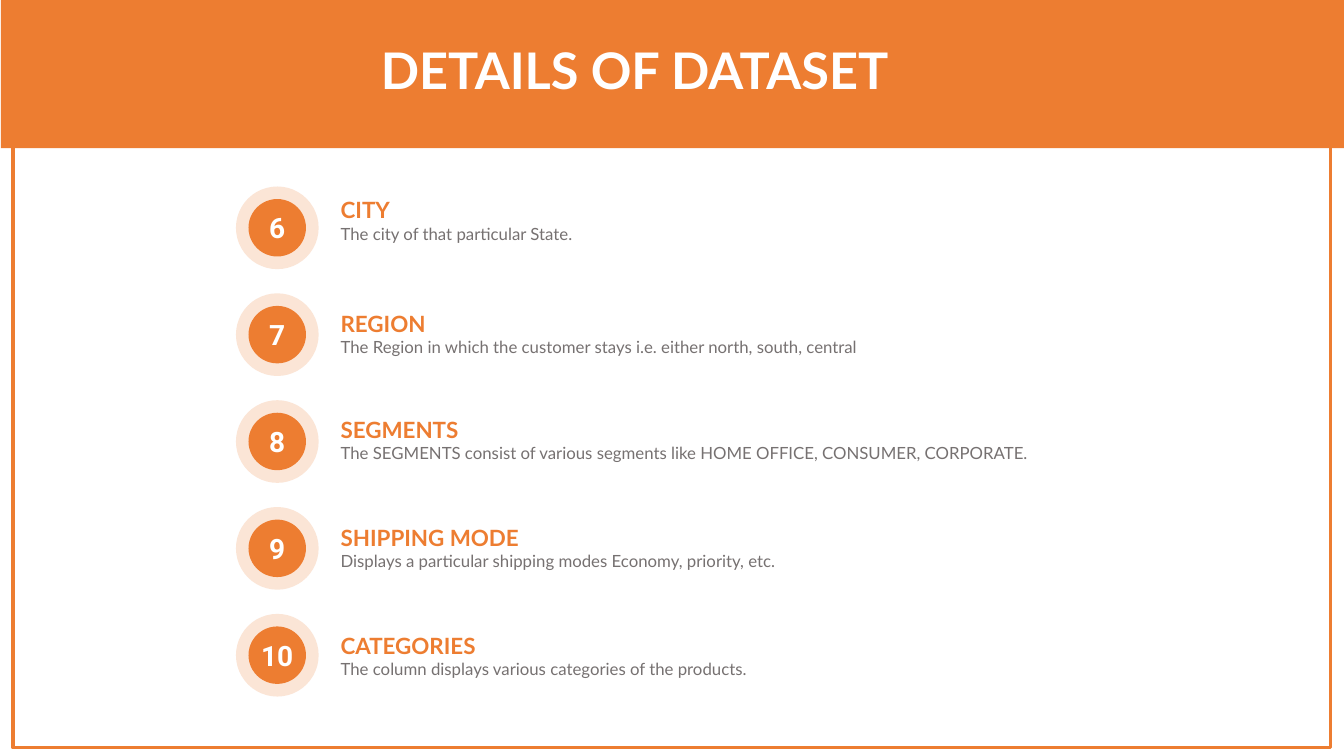
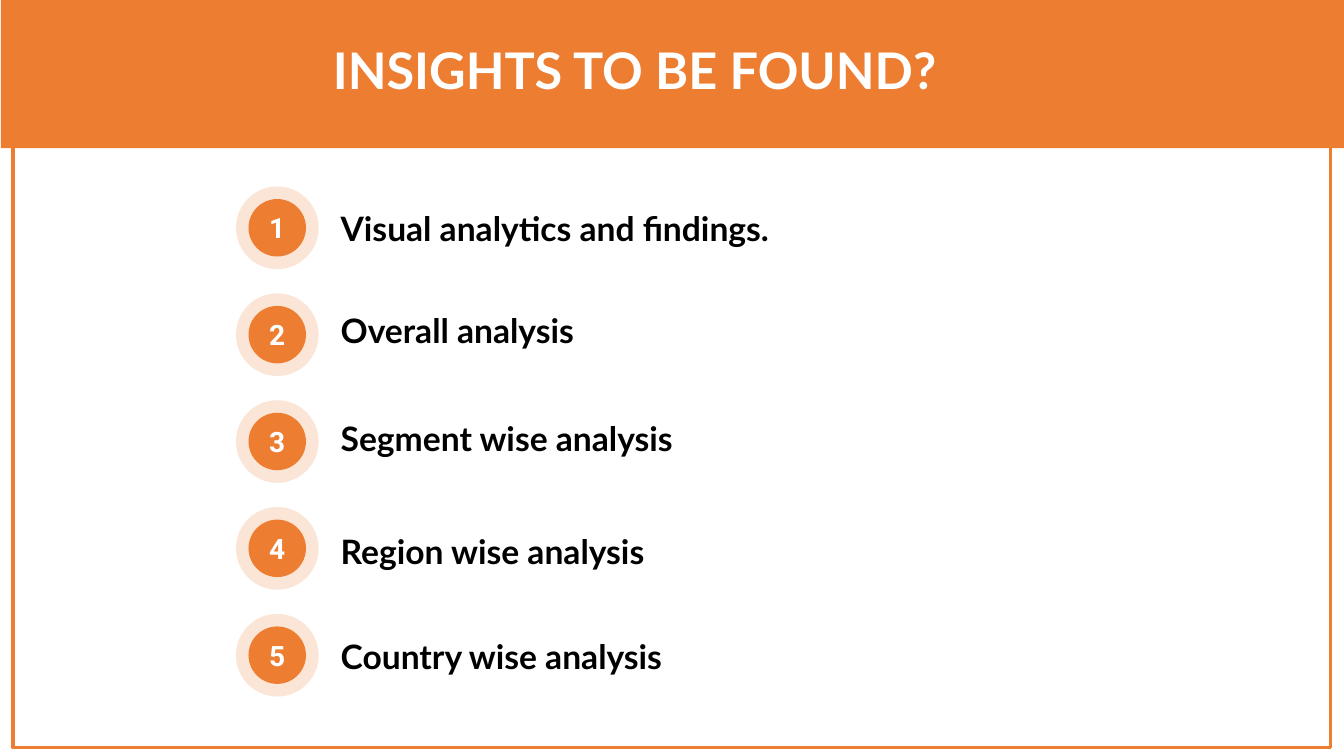
from pptx import Presentation
from pptx.dml.color import RGBColor
from pptx.enum import shapes, text
from pptx.util import Inches, Pt

ORANGE = RGBColor(0xED, 0x7D, 0x31)
PEACH = RGBColor(0xFB, 0xE5, 0xD6)
GREY = RGBColor(0x76, 0x71, 0x71)
WHITE = RGBColor(255, 255, 255)
BLACK = RGBColor(0, 0, 0)

HEAD = (36, WHITE, True)
TERM = (16, ORANGE, True)
NOTE = (12, GREY, False)
POINT = (24, BLACK, True)

DECK = [
    ("DETAILS OF DATASET", 6, (TERM, NOTE), [
        (1.9, "CITY", "The city of that particular State."),
        (3.03, "REGION", "The Region in which the customer stays i.e. either north, south, central"),
        (4.08, "SEGMENTS", "The SEGMENTS consist of various segments like HOME OFFICE, CONSUMER, CORPORATE."),
        (5.15, "SHIPPING MODE", "Displays a particular shipping modes Economy, priority, etc."),
        (6.22, "CATEGORIES", "The column displays various categories of the products."),
    ]),
    ("INSIGHTS TO BE FOUND?", 1, (POINT,), [
        (2.01, "Visual analytics and findings."),
        (3.03, "Overall analysis"),
        (4.1, "Segment wise analysis"),
        (5.22, "Region wise analysis"),
        (6.26, "Country wise analysis"),
    ]),
]

WIDE, HIGH = 13.33, 7.5
MID, FIRST, PITCH = 2.75, 2.26, 1.06
RING, DISC = 0.82, 0.57
LEFT, SPAN = 3.28, 8.69
CENTER = text.PP_ALIGN.CENTER


def write(par, words, style, font="Lato", align=None):
    par.text = words
    par.alignment = align
    face = par.font
    face.name = font
    size, face.color.rgb, face.bold = style
    face.size = Pt(size)


def draw(slide, kind, box, fill, line=None):
    shape = slide.shapes.add_shape(kind, *map(Inches, box))
    shape.shadow.inherit = False
    shape.fill.solid()
    shape.fill.fore_color.rgb = fill
    if line:
        shape.line.color.rgb = line
        shape.line.width = Pt(2.25)
    else:
        shape.line.fill.background()
    return shape


def label(slide, box, lines, styles, align=None):
    frame = slide.shapes.add_textbox(*map(Inches, box)).text_frame
    frame.word_wrap = True
    for i, (words, style) in enumerate(zip(lines, styles)):
        par = frame.add_paragraph() if i else frame.paragraphs[0]
        write(par, words, style, align=align)


def circle(slide, y, size, fill):
    box = (MID - size / 2, y - size / 2, size, size)
    return draw(slide, shapes.MSO_SHAPE.OVAL, box, fill)


def badge(slide, y, number):
    circle(slide, y, RING, PEACH)
    frame = circle(slide, y, DISC, ORANGE).text_frame
    frame.margin_left = frame.margin_right = 0
    frame.margin_top = frame.margin_bottom = 0
    frame.vertical_anchor = text.MSO_ANCHOR.MIDDLE
    write(frame.paragraphs[0], str(number), (20, WHITE, True), "Roboto", CENTER)


def build(deck, title, start, styles, rows):
    slide = deck.slides.add_slide(deck.slide_layouts[6])
    rect = shapes.MSO_SHAPE.RECTANGLE
    draw(slide, rect, (0.13, 0.09, 13.07, 7.33), WHITE, ORANGE)
    draw(slide, rect, (0.01, 0, WIDE - 0.01, 1.47), ORANGE)
    label(slide, (2.83, 0.34, 6.93, 0.71), [title], [HEAD], CENTER)
    for i, (top, *lines) in enumerate(rows):
        badge(slide, FIRST + i * PITCH, start + i)
        label(slide, (LEFT, top, SPAN, 0.5), lines, styles)


def main():
    deck = Presentation()
    deck.slide_width, deck.slide_height = Inches(WIDE), Inches(HIGH)
    for page in DECK:
        build(deck, *page)
    deck.save("out.pptx")


if __name__ == "__main__":
    main()
